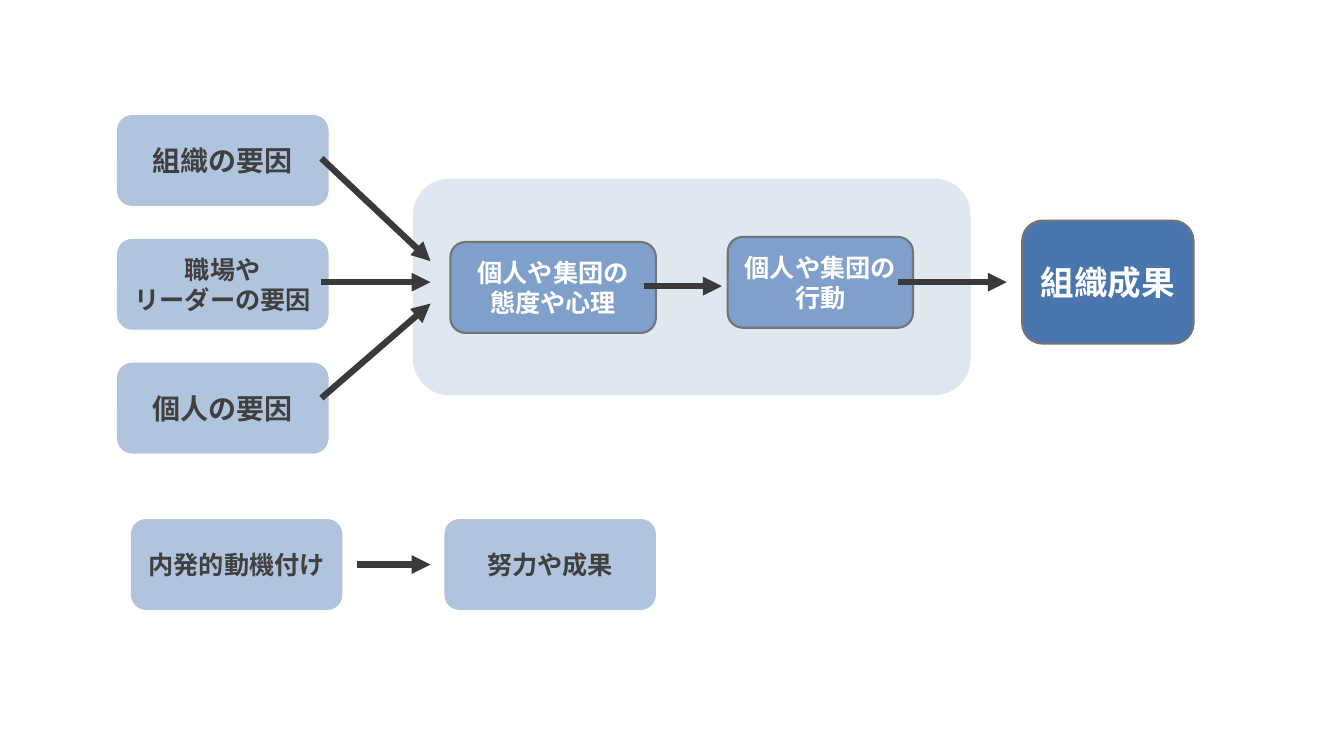
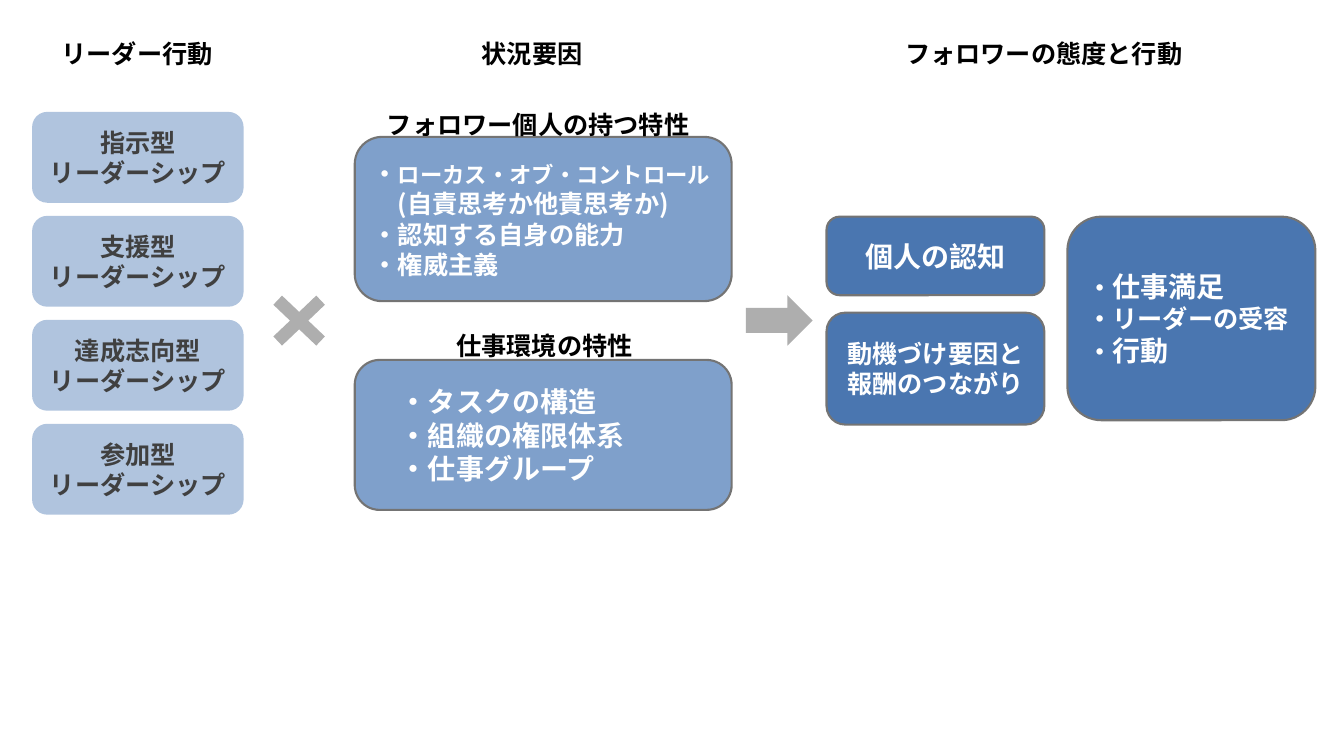
from dataclasses import dataclass

from lxml.etree import SubElement
from pptx import Presentation
from pptx.dml.color import RGBColor as RGB
from pptx.enum.shapes import MSO_CONNECTOR as CONN, MSO_SHAPE as SHAPE
from pptx.enum.text import MSO_ANCHOR as ANCHOR, PP_ALIGN as ALIGN
from pptx.oxml.ns import qn
from pptx.util import Cm, Pt


@dataclass(frozen=True)
class Theme:
    font: str = "Noto Sans CJK JP"
    panel: str = "DFE7F1"
    light: str = "B0C4DE"
    mid: str = "7FA0CB"
    dark: str = "4A76B0"
    sign: str = "AEAEAE"
    outline: str = "747474"
    arrow: str = "3A3A3A"
    grey_text: str = "404040"
    white: str = "FFFFFF"
    black: str = "000000"
    small: int = 16
    body: int = 18
    large: int = 20
    result: int = 24
    outline_w: float = 1.5
    arrow_w: float = 4.5
    box_w: float = 5.33
    box_h: float = 2.29


T = Theme()


# Shared parts; positions and sizes are in centimetres
def write(tf, lines, size, color, align=ALIGN.LEFT, indents=()):
    """Each line is a string, or a list of (text, size) runs."""
    tf.word_wrap = True
    for i, line in enumerate(lines):
        p = tf.paragraphs[0] if i == 0 else tf.add_paragraph()
        p.alignment = align
        p.font.name, p.font.size, p.font.bold = T.font, Pt(size), True
        p.font.color.rgb = RGB.from_string(color)
        pPr = p._p.get_or_add_pPr()
        SubElement(pPr.find(qn("a:defRPr")), qn("a:ea"), typeface=T.font)
        if indents:
            pPr.set("marL", str(Pt(indents[i])))
        for text, run_size in [(line, None)] if isinstance(line, str) else line:
            r = p.add_run()
            r.text = text
            if run_size:
                r.font.size = Pt(run_size)


def add_shape(s, kind, x, y, w, h, fill, outlined=False):
    sp = s.shapes.add_shape(kind, Cm(x), Cm(y), Cm(w), Cm(h))
    sp.shadow.inherit = False
    sp.fill.solid()
    sp.fill.fore_color.rgb = RGB.from_string(fill)
    if outlined:
        sp.line.color.rgb = RGB.from_string(T.outline)
        sp.line.width = Pt(T.outline_w)
    else:
        sp.line.fill.background()
    return sp


def add_box(s, x, y, w, h, fill, lines, size=T.body, align=ALIGN.CENTER, indents=()):
    light = fill == T.light
    sp = add_shape(s, SHAPE.ROUNDED_RECTANGLE, x, y, w, h, fill, not light)
    sp.text_frame.vertical_anchor = ANCHOR.MIDDLE
    write(sp.text_frame, lines, size, T.grey_text if light else T.white, align, indents)


def add_light_box(s, x, y, lines, size=T.body):
    add_box(s, x, y, T.box_w, T.box_h, T.light, lines, size)


def add_label(s, x, y, w, text):
    tb = s.shapes.add_textbox(Cm(x), Cm(y), Cm(w), Cm(1.02))
    write(tb.text_frame, [text], T.body, T.black)


def add_arrow(s, x1, y1, x2, y2):
    c = s.shapes.add_connector(CONN.STRAIGHT, Cm(x1), Cm(y1), Cm(x2), Cm(y2))
    c.line.color.rgb = RGB.from_string(T.arrow)
    c.line.width = Pt(T.arrow_w)
    SubElement(c.line._get_or_add_ln(), qn("a:tailEnd"), type="triangle")
    SubElement(c._element.spPr, qn("a:effectLst"))


# Slide 1: factors, process and result
def factors(s, x, y):
    boxes = [(["組織の要因"], T.large),
             (["職場や", "リーダーの要因"], T.body),
             (["個人の要因"], T.large)]
    for i, (lines, size) in enumerate(boxes):
        add_light_box(s, x, y + i * 3.12, lines, size)
    for start, end in [(1.09, 3.68), (4.21, 4.21), (7.13, 4.75)]:
        add_arrow(s, x + 5.15, y + start, x + 7.9, y + end)


def process(s, x, y, w, h):
    add_shape(s, SHAPE.ROUNDED_RECTANGLE, x, y, w, h, T.panel)
    add_box(s, x + 0.94, y + 1.6, 5.18, T.box_h, T.mid, ["個人や集団の", "態度や心理"])
    add_box(s, x + 7.93, y + 1.47, 4.67, T.box_h, T.mid, ["個人や集団の行動"])
    add_arrow(s, x + 5.82, y + 2.71, x + 7.78, y + 2.71)


def result(s, x, y, w, h):
    mid = y + h / 2
    add_box(s, x, y, w, h, T.dark, ["組織成果"], T.result)
    add_arrow(s, x - 3.13, mid, x - 0.39, mid)


def motivation(s, x, y):
    mid = y + T.box_h / 2
    add_light_box(s, x, y, ["内発的動機付け"])
    add_arrow(s, x + 5.69, mid, x + 7.55, mid)
    add_light_box(s, x + 7.9, y, ["努力や成果"])


def outcome_model(s):
    process(s, 10.41, 4.5, 14.05, 5.46)
    factors(s, 2.95, 2.9)
    result(s, 25.76, 5.56, 4.32, 3.1)
    motivation(s, 3.3, 13.08)


# Slide 2: leader behaviour, situation and followers
def leader_styles(s, x, y):
    add_label(s, x + 0.49, y - 1.98, 4.37, "リーダー行動")
    for i, style in enumerate(["指示型", "支援型", "達成志向型", "参加型"]):
        add_light_box(s, x, y + i * 2.62, [style, "リーダーシップ"])


def situation(s, x, y, w):
    add_label(s, x + 2.95, y - 2.61, 4.37, "状況要因")
    add_box(s, x, y, w, 4.14, T.mid,
            [[("・", None), ("ローカス・オブ・コントロール", T.small)],
             "(自責思考か他責思考か)", "・認知する自身の能力", "・権威主義"],
            align=ALIGN.LEFT, indents=(0, T.body, 0, 0))
    add_box(s, x, y + 5.62, w, 3.78, T.mid,
            ["・タスクの構造", "・組織の権限体系", "・仕事グループ"],
            T.large, ALIGN.LEFT, (T.large,) * 3)
    add_label(s, x + 0.56, y - 0.83, 8.23, "フォロワー個人の持つ特性")
    add_label(s, x + 2.31, y + 4.75, 5, "仕事環境の特性")


def followers(s, x, y):
    add_label(s, x + 1.73, y - 4.62, 7.6, "フォロワーの態度と行動")
    add_box(s, x, y, 5.49, 1.98, T.dark, ["個人の認知"], T.large)
    add_box(s, x, y + 2.42, 5.49, 2.82, T.dark, ["動機づけ要因と", "報酬のつながり"])
    add_box(s, x + 6.07, y, 6.25, 5.13, T.dark,
            [[("・", None), ("仕事満足", T.large)], "・リーダーの受容",
             [("・", None), ("行動", T.large)]], align=ALIGN.LEFT)


def path_goal_model(s):
    leader_styles(s, 0.81, 2.82)
    situation(s, 8.94, 3.45, 9.5)
    followers(s, 20.83, 5.46)
    # Signs between the columns
    times = add_shape(s, SHAPE.MATH_MULTIPLY, 6.5, 7.09, 2.08, 1.98, T.sign)
    times.adjustments[0] = 0.16
    add_shape(s, SHAPE.RIGHT_ARROW, 18.8, 7.44, 1.68, 1.27, T.sign)


def main():
    prs = Presentation()
    prs.slide_width, prs.slide_height = Cm(33.87), Cm(19.05)
    for build in (outcome_model, path_goal_model):
        build(prs.slides.add_slide(prs.slide_layouts[6]))
    prs.save("out.pptx")


if __name__ == "__main__":
    main()
